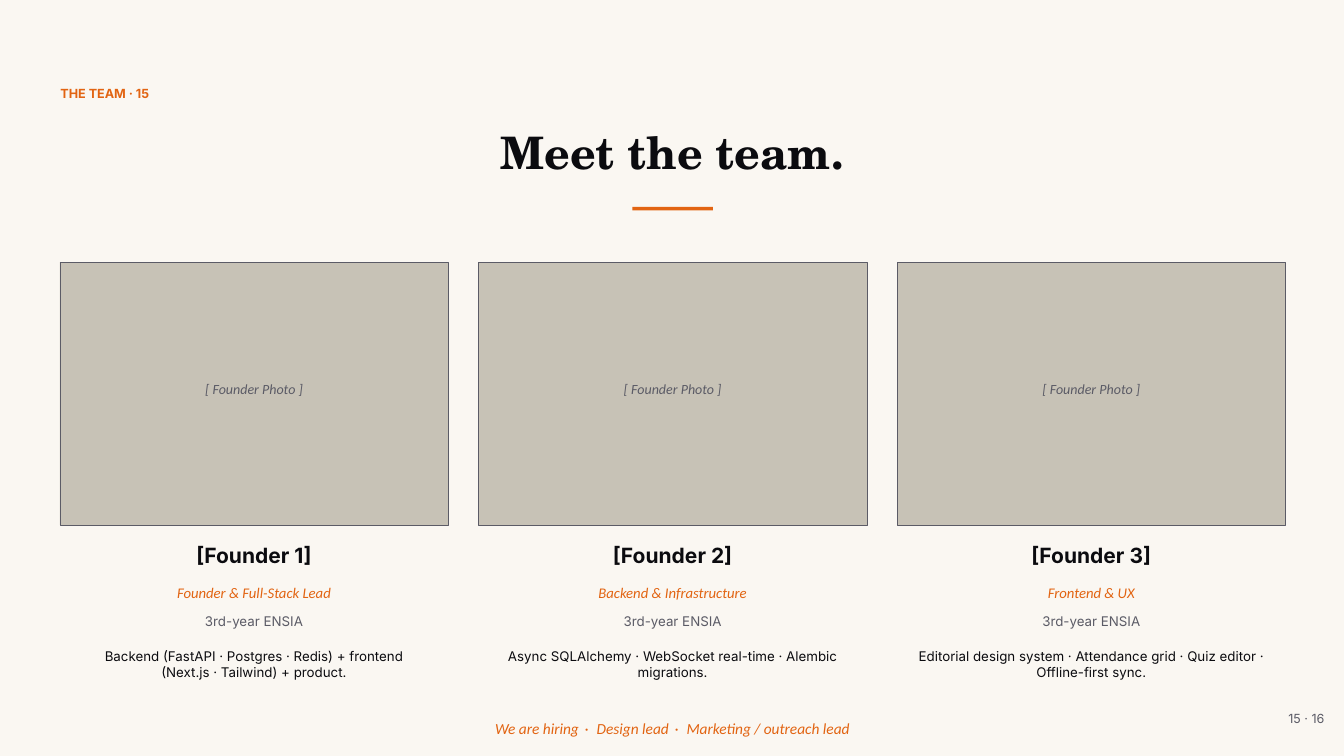
from dataclasses import dataclass

from pptx import Presentation
from pptx.dml.color import RGBColor
from pptx.enum.shapes import MSO_SHAPE
from pptx.enum.text import MSO_ANCHOR, MSO_AUTO_SIZE, PP_ALIGN
from pptx.util import Emu, Pt

PX = 9144  # 100 px to the inch


@dataclass(frozen=True)
class Style:
    size: float
    font: str
    color: str
    bold: bool = False
    italic: bool = False


class Theme:
    paper, ink, gray, accent, photo = "FAF7F2", "0B0B0F", "5B5B66", "E26412", "C7C2B6"
    sans, serif, note = "Inter", "TeX Gyre Schola", "Calibri"
    line_height = 1.2
    title = Style(48, serif, ink, bold=True)
    kicker = Style(13.5, sans, accent, bold=True)
    page = Style(13.5, sans, gray)
    photo_label = Style(15, note, gray, italic=True)
    name = Style(22.5, sans, ink, bold=True)
    role = Style(15.75, note, accent, italic=True)
    year = Style(14.25, sans, gray)
    skills = Style(14.25, sans, ink)
    hiring = Style(16.5, note, accent, italic=True)


SLIDE_W, SLIDE_H = 2000, 1125
MARGIN, CONTENT_W = 90, 1821
CARD_X, CARD_W, CARD_GAP = 89, 578, 45
PHOTO_Y, PHOTO_H = 390, 391
SKILLS_INDENT = 30

TEAM = [
    ("[Founder 1]", "Founder & Full-Stack Lead",
     "Backend (FastAPI · Postgres · Redis) + frontend (Next.js · Tailwind) + product."),
    ("[Founder 2]", "Backend & Infrastructure",
     "Async SQLAlchemy · WebSocket real-time · Alembic migrations."),
    ("[Founder 3]", "Frontend & UX",
     "Editorial design system · Attendance grid · Quiz editor · Offline-first sync."),
]
HIRING = ["We are hiring", " · ", "Design lead", " · ", "Marketing / outreach lead"]


def px(*lengths):
    return [Emu(n * PX) for n in lengths]


def rgb(color):
    return RGBColor.from_string(color)


def format_run(r, style):
    font = r.font
    font.name, font.size = style.font, Pt(style.size)
    font.bold, font.italic = style.bold, style.italic
    font.color.rgb = rgb(style.color)


def write(tf, text, style, align=PP_ALIGN.CENTER, anchor=MSO_ANCHOR.TOP):
    tf.text = text
    tf.word_wrap = True
    tf.auto_size = MSO_AUTO_SIZE.NONE
    tf.vertical_anchor = anchor
    tf.margin_left = tf.margin_top = tf.margin_right = tf.margin_bottom = 0
    p = tf.paragraphs[0]
    p.alignment = align
    p.line_spacing = Pt(style.size * Theme.line_height)
    for r in p.runs:
        format_run(r, style)


def add_title(s, text, x, y, w, h):
    sp = s.shapes.title
    sp.left, sp.top, sp.width, sp.height = px(x, y, w, h)
    write(sp.text_frame, text, Theme.title)


def add_text(s, text, style, x, y, w, h, align=PP_ALIGN.CENTER):
    sp = s.shapes.add_textbox(*px(x, y, w, h))
    write(sp.text_frame, text, style, align)
    return sp


def add_spaced_line(s, parts, style, x, y, w, h):
    """One line of text whose separators are set with wider letter spacing."""
    p = add_text(s, parts[0], style, x, y, w, h).text_frame.paragraphs[0]
    for part in parts[1:]:
        r = p.add_run()
        r.text = part
        format_run(r, style)
        if part == " · ":
            r.font._element.set("spc", "250")


def add_rect(s, fill, x, y, w, h, line=None):
    sp = s.shapes.add_shape(MSO_SHAPE.RECTANGLE, *px(x, y, w, h))
    sp.shadow.inherit = False
    sp.fill.solid()
    sp.fill.fore_color.rgb = rgb(fill)
    if line:
        sp.line.color.rgb = rgb(line)
        sp.line.width = Pt(0.5)
    else:
        sp.line.fill.background()
    return sp


def add_founder(s, x, name, role, skills):
    tf = add_rect(s, Theme.photo, x, PHOTO_Y, CARD_W, PHOTO_H, Theme.gray).text_frame
    write(tf, "[ Founder Photo ]", Theme.photo_label, anchor=MSO_ANCHOR.MIDDLE)
    tf.margin_bottom = px(14)[0]
    add_text(s, name, Theme.name, x, 807, CARD_W, 51)
    add_text(s, role, Theme.role, x, 869, CARD_W, 35)
    add_text(s, "3rd-year ENSIA", Theme.year, x, 912, CARD_W, 36)
    add_text(s, skills, Theme.skills, x + SKILLS_INDENT, 965, CARD_W - 2 * SKILLS_INDENT, 96)


def main():
    prs = Presentation()
    prs.slide_width, prs.slide_height = px(SLIDE_W, SLIDE_H)
    s = prs.slides.add_slide(prs.slide_layouts[5])

    paper = add_rect(s, Theme.paper, 0, 0, SLIDE_W, SLIDE_H)
    s.shapes.title._element.addprevious(paper._element)  # behind the title
    add_text(s, "THE TEAM · 15", Theme.kicker, MARGIN, 128, CONTENT_W, 45, PP_ALIGN.LEFT)
    add_title(s, "Meet the team.", MARGIN, 186, CONTENT_W, 96)
    add_rect(s, Theme.accent, 941, 308, 120, 5)
    for i, founder in enumerate(TEAM):
        add_founder(s, CARD_X + i * (CARD_W + CARD_GAP), *founder)
    add_spaced_line(s, HIRING, Theme.hiring, MARGIN, 1070, CONTENT_W, 51)
    add_text(s, "15 · 16", Theme.page, 1821, 1058, 150, 45, PP_ALIGN.RIGHT)
    prs.save("out.pptx")


if __name__ == "__main__":
    main()
